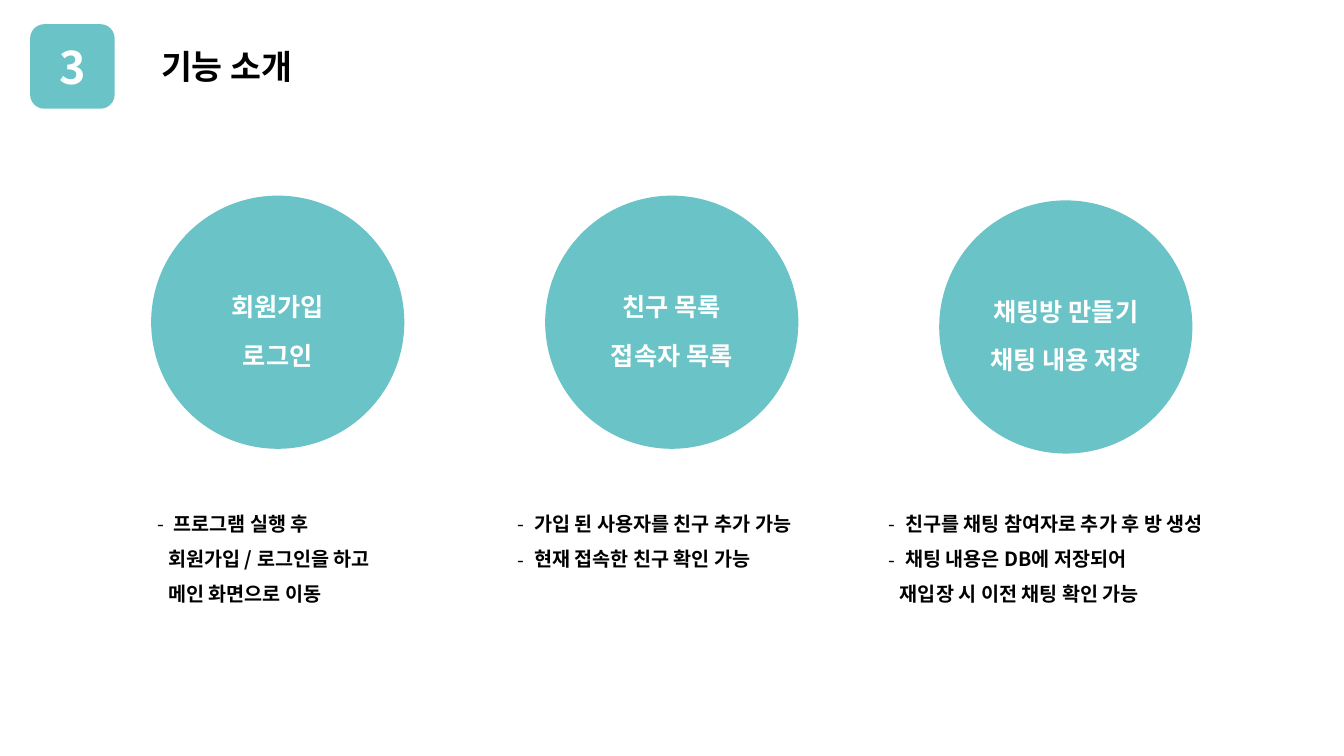
from dataclasses import dataclass

from lxml.etree import SubElement
from pptx import Presentation
from pptx.dml.color import RGBColor
from pptx.enum.shapes import MSO_SHAPE as SHAPE
from pptx.enum.text import MSO_ANCHOR as ANCHOR, MSO_AUTO_SIZE as AUTO, PP_ALIGN as ALIGN
from pptx.oxml.ns import qn
from pptx.util import Cm, Pt

NUMBER, TITLE = "3", "기능 소개"

# Labels are (text, width); notes are (text, starts with a dash). Lengths in cm.
FEATURES = [
    dict(labels=[("회원가입", 3.07), ("로그인", 2.44)], top=4.93,
         notes_left=3.71, notes_width=6.58,
         notes=[("프로그램 실행 후", True),
                ("회원가입 / 로그인을 하고", False),
                ("메인 화면으로 이동", False)]),
    dict(labels=[("친구 목록", 3.3), ("접속자 목록", 3.94)], top=4.93,
         notes_left=12.8, notes_width=8.26,
         notes=[("가입 된 사용자를 친구 추가 가능", True),
                ("현재 접속한 친구 확인 가능", True)]),
    dict(labels=[("채팅방 만들기", 4.6), ("채팅 내용 저장", 4.83)], top=5.05,
         notes_left=22.15, notes_width=9.42,
         notes=[("친구를 채팅 참여자로 추가 후 방 생성", True),
                ("채팅 내용은 DB에 저장되어", True),
                ("재입장 시 이전 채팅 확인 가능", False)]),
]


@dataclass(frozen=True)
class Theme:
    """Colours, font and type sizes of the slide."""
    teal = RGBColor(0x6A, 0xC3, 0xC6)
    white = RGBColor(0xFF, 0xFF, 0xFF)
    black = RGBColor(0, 0, 0)
    font = "Noto Sans CJK KR"
    number, title, label, note = Pt(32), Pt(24), Pt(18), Pt(14)


CIRCLE, CIRCLE_LEFT, CIRCLE_PITCH = 6.38, 3.81, 9.93
LABEL_TOP, LABEL_PITCH, LABEL_HEIGHT = 2.29, 1.22, 1.03
NOTES_TOP, NOTE_LINE, NOTES_PADDING = 12.47, 0.91, 0.1
DASH_INDENT, PLAIN_INDENT = 0.41, 0.28


def add_run(p, text, size, color):
    """Add one bold run in the theme font for Latin and Korean text."""
    r = p.add_run()
    r.text = text
    r.font.size, r.font.bold, r.font.name = size, True, Theme.font
    r.font.color.rgb = color
    SubElement(r.font._element, qn("a:ea"), typeface=Theme.font)


def add_panel(shapes, kind, left, top, size):
    """Add a flat teal shape as wide as it is high."""
    sp = shapes.add_shape(kind, Cm(left), Cm(top), Cm(size), Cm(size))
    sp.shadow.inherit = False
    sp.fill.solid()
    sp.fill.fore_color.rgb = Theme.teal
    sp.line.fill.background()
    return sp


def add_text_box(shapes, left, top, width, height):
    """Add an unwrapped text box and return its text frame."""
    tf = shapes.add_textbox(Cm(left), Cm(top), Cm(width), Cm(height)).text_frame
    tf.word_wrap = False
    tf.auto_size = AUTO.SHAPE_TO_FIT_TEXT
    return tf


def set_indent(p, dashed):
    """Hang a paragraph on a dash, or indent it as a continuation."""
    pPr = p._p.get_or_add_pPr()
    if dashed:
        pPr.set("marL", str(Cm(DASH_INDENT)))
        pPr.set("indent", str(-Cm(DASH_INDENT)))
        SubElement(pPr, qn("a:buFont"), typeface=Theme.font)
        SubElement(pPr, qn("a:buChar"), char="-")
    else:
        pPr.set("marL", str(Cm(PLAIN_INDENT)))
        pPr.set("indent", "0")


def add_header(s):
    """Add the numbered badge and the slide title."""
    tf = add_panel(s.shapes, SHAPE.ROUNDED_RECTANGLE, 0.76, 0.61, 2.13).text_frame
    tf.vertical_anchor = ANCHOR.MIDDLE
    p = tf.paragraphs[0]
    p.alignment = ALIGN.CENTER
    add_run(p, NUMBER, Theme.number, Theme.white)
    tf = add_text_box(s.shapes, 3.81, 1.04, 4.24, 1.27)
    add_run(tf.paragraphs[0], TITLE, Theme.title, Theme.black)


def add_circle(s, left, top, labels):
    """Add a grouped circle with its centred labels."""
    group = s.shapes.add_group_shape()
    add_panel(group.shapes, SHAPE.OVAL, left, top, CIRCLE)
    for i, (text, width) in enumerate(labels):
        tf = add_text_box(group.shapes, left + (CIRCLE - width) / 2,
                          top + LABEL_TOP + i * LABEL_PITCH, width, LABEL_HEIGHT)
        p = tf.paragraphs[0]
        p.alignment = ALIGN.CENTER
        add_run(p, text, Theme.label, Theme.white)


def add_notes(s, left, width, notes):
    """Add the explanation below a circle."""
    height = NOTE_LINE * len(notes) + NOTES_PADDING
    tf = add_text_box(s.shapes, left, NOTES_TOP, width, height)
    for i, (text, dashed) in enumerate(notes):
        p = tf.add_paragraph() if i else tf.paragraphs[0]
        p.line_spacing = 1.5
        set_indent(p, dashed)
        add_run(p, text, Theme.note, Theme.black)


def main():
    """Build and save the slide."""
    prs = Presentation()
    prs.slide_width, prs.slide_height = Cm(33.87), Cm(19.05)
    s = prs.slides.add_slide(prs.slide_layouts[6])
    add_header(s)
    for i, feature in enumerate(FEATURES):
        add_circle(s, CIRCLE_LEFT + i * CIRCLE_PITCH, feature["top"], feature["labels"])
        add_notes(s, feature["notes_left"], feature["notes_width"], feature["notes"])
    prs.save("out.pptx")


main()
